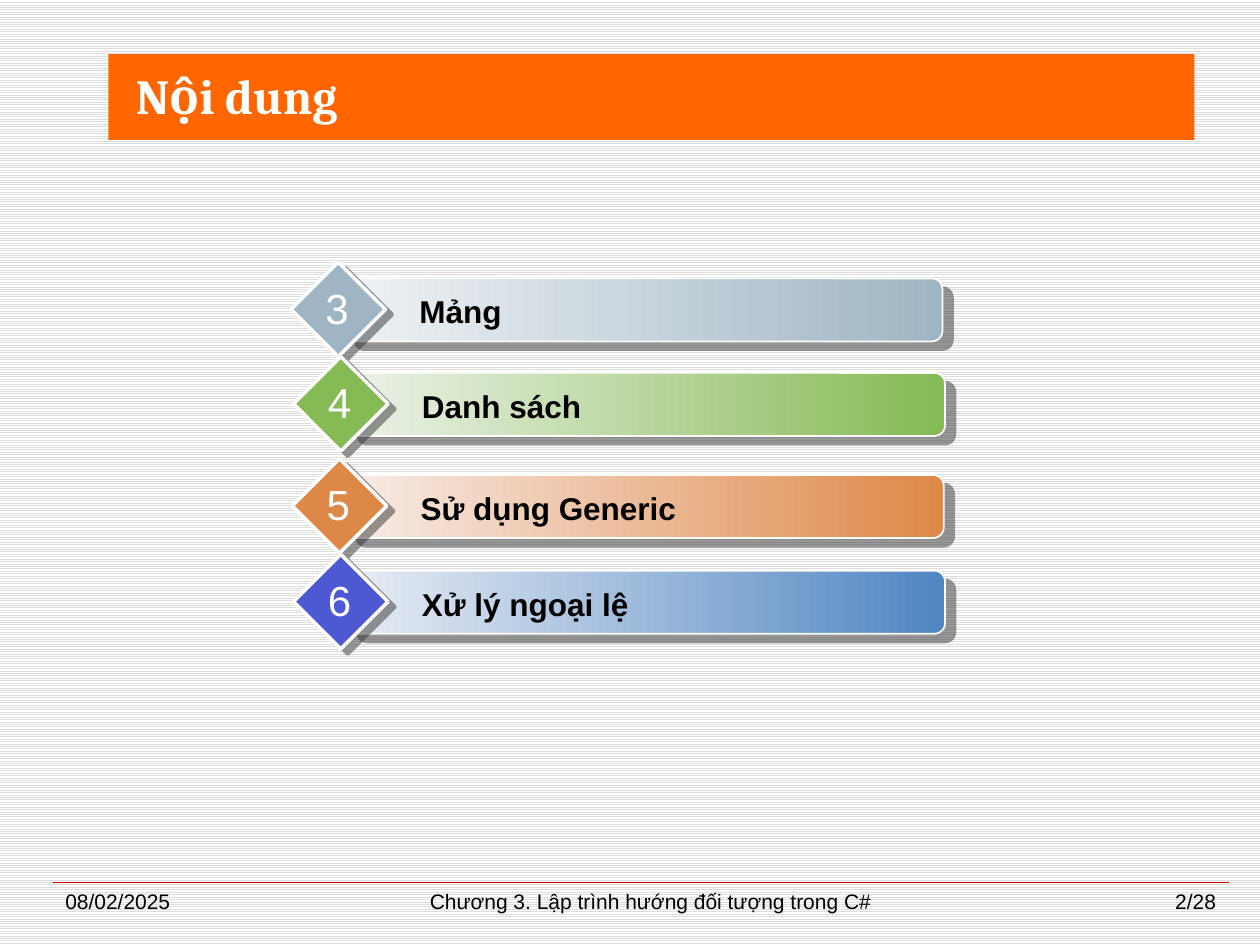
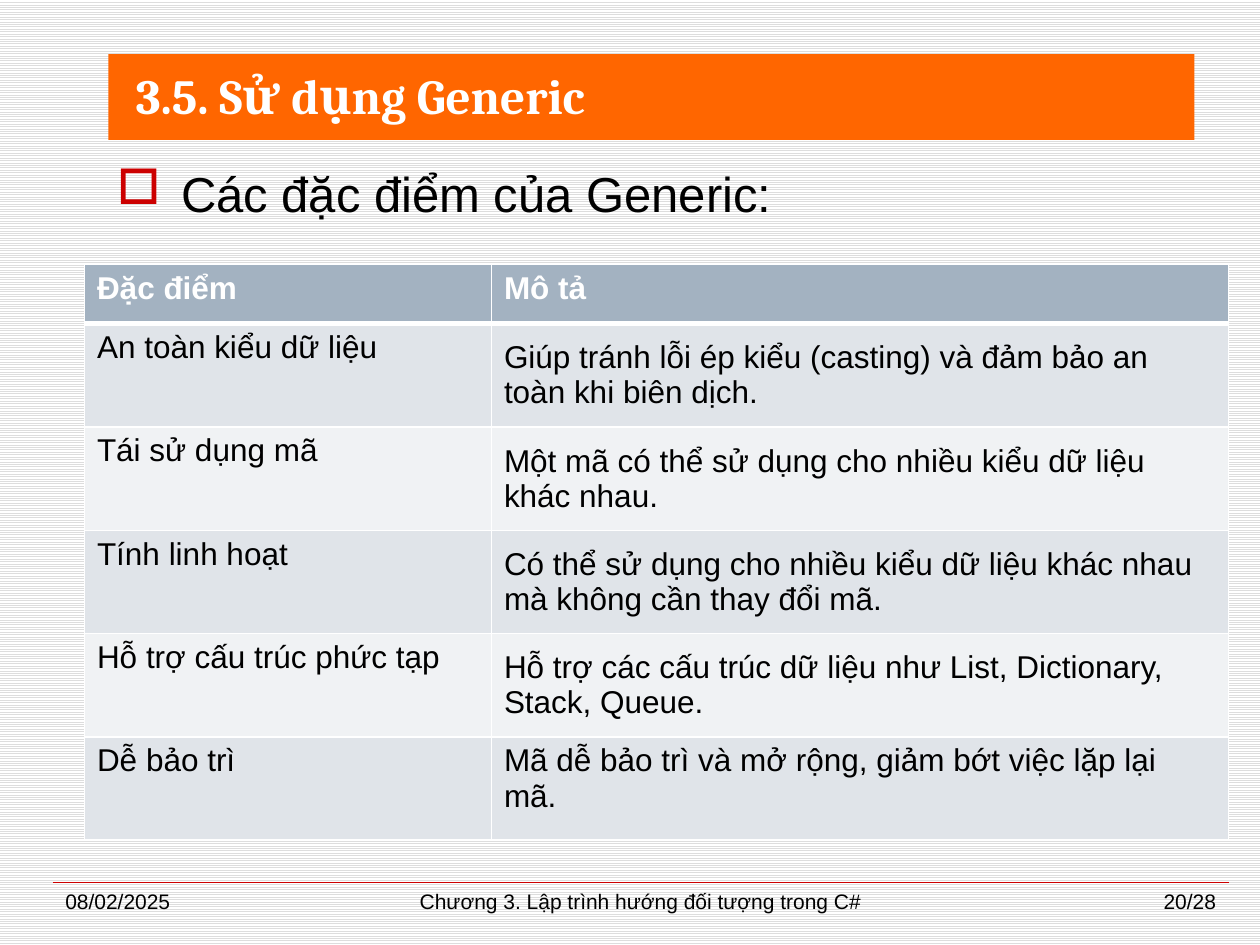
from dataclasses import dataclass

from lxml.etree import SubElement
from pptx import Presentation
from pptx.dml.color import RGBColor
from pptx.enum.dml import MSO_PATTERN
from pptx.enum.shapes import MSO_CONNECTOR, MSO_SHAPE
from pptx.enum.text import MSO_ANCHOR, PP_ALIGN
from pptx.oxml.ns import qn
from pptx.util import Inches, Pt


@dataclass(frozen=True)
class Theme:
    body_font: str = "Arial"
    title_font: str = "Cambria"
    heading_size: int = 28
    number_size: int = 24
    text_size: int = 18
    footer_size: int = 12
    white: str = "FFFFFF"
    black: str = "000000"
    stripe: str = "DDDDDD"
    band: str = "FF6600"
    accent: str = "CC0000"
    shadow: str = "333333"
    table_head: str = "A3B2C1"
    table_rows: tuple = ("E0E4E9", "F0F2F4")


THEME = Theme()
FOOTER = "Chương 3. Lập trình hướng đối tượng trong C#"
DATE = "08/02/2025"
SLIDE_COUNT = 28

AGENDA = [
    ("3", "Mảng", 2.31, 2.08, "EFF2F4", "A0B5C4", "A0B5C4"),
    ("4", "Danh sách", 2.33, 2.83, "ECF2E8", "85BA54", "85BA54"),
    ("5", "Sử dụng Generic", 2.32, 3.64, "F8ECE7", "DE8848", "DE8848"),
    ("6", "Xử lý ngoại lệ", 2.33, 4.4, "E8ECF4", "5086C2", "4C59D2"),
]

FEATURES = [
    ("Đặc điểm", "Mô tả"),
    ("An toàn kiểu dữ liệu", "Giúp tránh lỗi ép kiểu (casting) và đảm bảo an toàn khi biên dịch."),
    ("Tái sử dụng mã", "Một mã có thể sử dụng cho nhiều kiểu dữ liệu khác nhau."),
    ("Tính linh hoạt", "Có thể sử dụng cho nhiều kiểu dữ liệu khác nhau mà không cần thay đổi mã."),
    ("Hỗ trợ cấu trúc phức tạp", "Hỗ trợ các cấu trúc dữ liệu như List, Dictionary, Stack, Queue."),
    ("Dễ bảo trì", "Mã dễ bảo trì và mở rộng, giảm bớt việc lặp lại mã."),
]


def rgb(color):
    return RGBColor.from_string(color)


def inches(box):
    return [Inches(length) for length in box]


def style_paragraph(paragraph, size, color=THEME.black, bold=False, font=THEME.body_font):
    paragraph.font.name = font
    paragraph.font.size = Pt(size)
    paragraph.font.bold = bold
    paragraph.font.color.rgb = rgb(color)


def add_text(shapes, box, text, size, align=PP_ALIGN.LEFT, anchor=MSO_ANCHOR.TOP, wrap=True, **style):
    frame = shapes.add_textbox(*inches(box)).text_frame
    frame.word_wrap = wrap
    frame.vertical_anchor = anchor
    paragraph = frame.paragraphs[0]
    paragraph.text = text
    paragraph.alignment = align
    style_paragraph(paragraph, size, **style)
    return paragraph


def add_shadow(shape, distance, angle):
    effects = shape._element.spPr.find(qn("a:effectLst"))
    shadow = SubElement(effects, qn("a:outerShdw"), dist=str(Pt(distance)),
                        dir=str(angle * 60000), algn="ctr", rotWithShape="0")
    color = SubElement(shadow, qn("a:srgbClr"), val=THEME.shadow)
    SubElement(color, qn("a:alpha"), val="50000")


def add_outlined_shape(shapes, kind, box, line_width):
    shape = shapes.add_shape(kind, *inches(box))
    shape.shadow.inherit = False
    shape.line.color.rgb = rgb(THEME.white)
    shape.line.width = Pt(line_width)
    return shape


def add_title_band(slide, box, title):
    left, top, width, height = box
    band = slide.shapes.add_shape(MSO_SHAPE.RECTANGLE, *inches(box))
    band.shadow.inherit = False
    band.fill.solid()
    band.fill.fore_color.rgb = rgb(THEME.band)
    band.line.fill.background()
    add_text(slide.shapes, (left + 0.12, top - 0.05, width + 0.55, height + 0.07), title,
             THEME.heading_size, anchor=MSO_ANCHOR.MIDDLE,
             color=THEME.white, bold=True, font=THEME.title_font)


def add_footer(slide, box, number, center_left):
    left, top, width, height = box
    right = left + width
    rule = slide.shapes.add_connector(MSO_CONNECTOR.STRAIGHT, *inches((left, top, right, top)))
    rule.line.color.rgb = rgb(THEME.accent)
    rule.line.width = Pt(0.25)
    SubElement(rule._element.spPr, qn("a:effectLst"))
    side_width = 2.17
    parts = [
        (left, side_width, DATE, PP_ALIGN.LEFT),
        (center_left, 4.33, FOOTER, PP_ALIGN.CENTER),
        (right - side_width, side_width, f"{number}/{SLIDE_COUNT}", PP_ALIGN.RIGHT),
    ]
    for part_left, part_width, text, align in parts:
        add_text(slide.shapes, (part_left, top, part_width, height), text, THEME.footer_size, align)


def add_base_slide(presentation, title, number, footer_center_left):
    slide = presentation.slides.add_slide(presentation.slide_layouts[6])
    background = slide.background.fill
    background.patterned()
    background.pattern = MSO_PATTERN.LIGHT_HORIZONTAL
    background.fore_color.rgb = rgb(THEME.stripe)
    background.back_color.rgb = rgb(THEME.white)
    add_title_band(slide, (0.86, 0.43, 8.62, 0.68), title)
    add_footer(slide, (0.42, 7, 9.33, 0.35), number, footer_center_left)
    return slide


def add_agenda_item(slide, left, top, number, label, light, dark, marker_color):
    shapes = slide.shapes.add_group_shape().shapes
    bar = add_outlined_shape(shapes, MSO_SHAPE.ROUNDED_RECTANGLE, (left + 0.42, top + 0.13, 4.75, 0.5), 1)
    bar.fill.gradient()
    bar.fill.gradient_angle = 0
    for stop, position, color in zip(bar.fill.gradient_stops, (0, 1), (light, dark)):
        stop.position = position
        stop.color.rgb = rgb(color)
    add_shadow(bar, 7.8, 40)

    marker = add_outlined_shape(shapes, MSO_SHAPE.DIAMOND, (left, top, 0.75, 0.75), 2)
    marker.fill.solid()
    marker.fill.fore_color.rgb = rgb(marker_color)
    add_shadow(marker, 5, 37)

    add_text(shapes, (left + 0.92, top + 0.19, 4.25, 0.4), label, THEME.text_size, bold=True)
    add_text(shapes, (left + 0.17, top + 0.11, 0.39, 0.51), number, THEME.number_size,
             PP_ALIGN.CENTER, wrap=False, color=THEME.white)


def add_bullet(slide, box, text):
    paragraph = add_text(slide.shapes, box, text, THEME.heading_size, PP_ALIGN.JUSTIFY)
    properties = paragraph._p.get_or_add_pPr()
    properties.set("marL", str(Inches(0.51)))
    properties.set("indent", str(-Inches(0.51)))
    bullet_color = properties.makeelement(qn("a:buClr"))
    SubElement(bullet_color, qn("a:srgbClr"), val=THEME.accent)
    bullet = properties.makeelement(qn("a:buChar"), char="□")
    properties.insert(0, bullet_color)
    properties.insert(1, bullet)


def set_borders(cell, widths):
    properties = cell._tc.get_or_add_tcPr()
    for index, (side, width) in enumerate(widths.items()):
        border = properties.makeelement(qn(f"a:ln{side}"), w=str(Pt(width)))
        fill = SubElement(border, qn("a:solidFill"))
        SubElement(fill, qn("a:srgbClr"), val=THEME.white)
        properties.insert(index, border)


def add_feature_table(slide, box, rows):
    table = slide.shapes.add_table(len(rows), len(rows[0]), *inches(box)).table
    table.horz_banding = False
    for column, width in zip(table.columns, (3.23, 5.85)):
        column.width = Inches(width)
    for row_index, texts in enumerate(rows):
        is_head = row_index == 0
        table.rows[row_index].height = Inches(0.47 if is_head else 0.82)
        fill = THEME.table_head if is_head else THEME.table_rows[(row_index - 1) % 2]
        for column_index, text in enumerate(texts):
            cell = table.cell(row_index, column_index)
            cell.text = text
            cell.fill.solid()
            cell.fill.fore_color.rgb = rgb(fill)
            is_middle = column_index == 1 and 0 < row_index < len(rows) - 1
            cell.vertical_anchor = MSO_ANCHOR.MIDDLE if is_middle else MSO_ANCHOR.TOP
            style_paragraph(cell.text_frame.paragraphs[0], THEME.text_size,
                            THEME.white if is_head else THEME.black, is_head)
            set_borders(cell, {"L": 1, "R": 1, "T": 3 if row_index == 1 else 1, "B": 3 if is_head else 1})


def build_agenda_slide(presentation):
    slide = add_base_slide(presentation, "Nội dung", 2, 3)
    for number, label, left, top, light, dark, marker_color in AGENDA:
        add_agenda_item(slide, left, top, number, label, light, dark, marker_color)


def build_features_slide(presentation):
    slide = add_base_slide(presentation, "3.5. Sử dụng Generic", 20, 2.92)
    add_bullet(slide, (0.83, 1.25, 8.67, 5.67), "Các đặc điểm của Generic:")
    add_feature_table(slide, (0.67, 2.1, 9.08, 4.57), FEATURES)


def main():
    presentation = Presentation()
    presentation.slide_width = Inches(10)
    presentation.slide_height = Inches(7.5)
    build_agenda_slide(presentation)
    build_features_slide(presentation)
    presentation.save("out.pptx")


if __name__ == "__main__":
    main()
